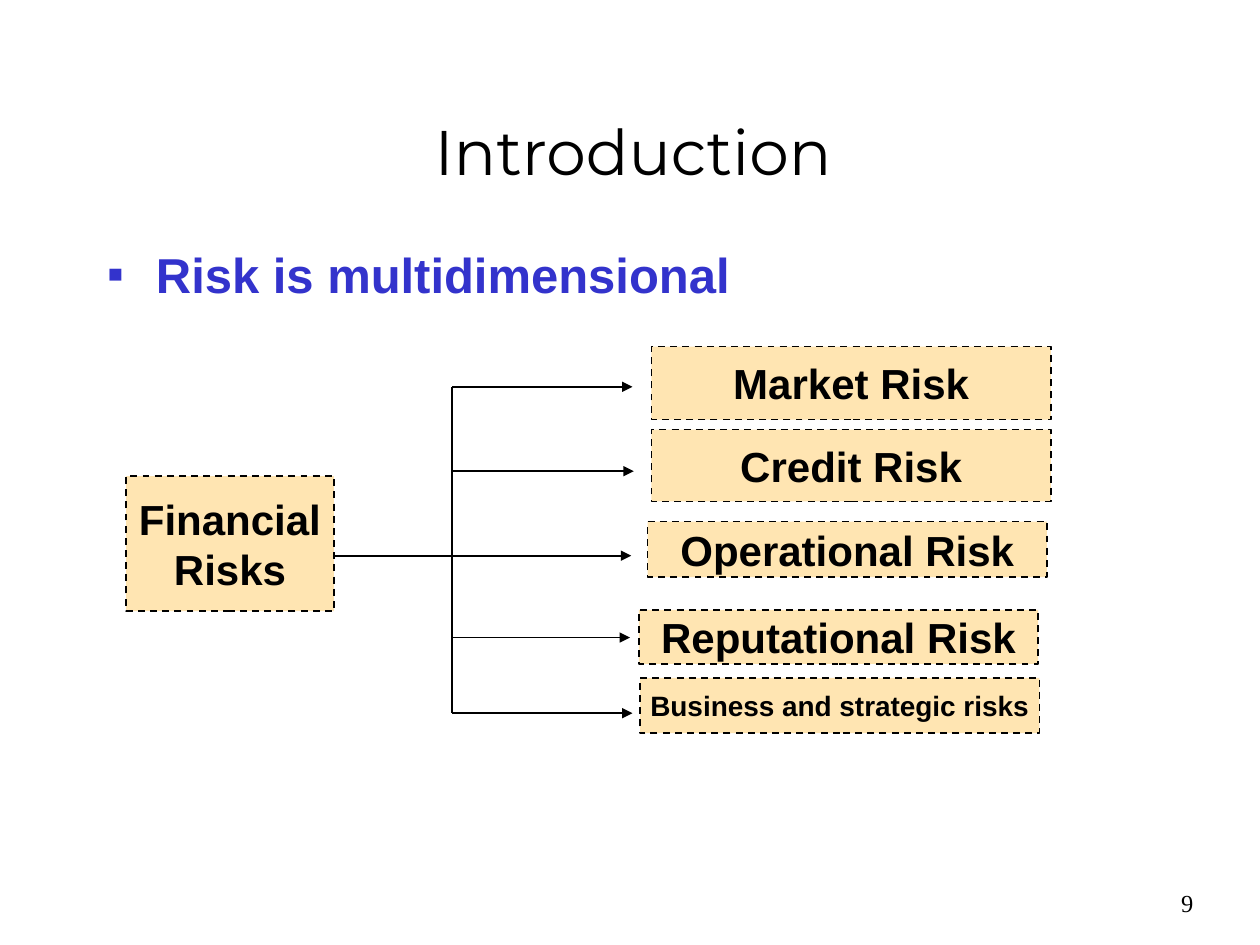
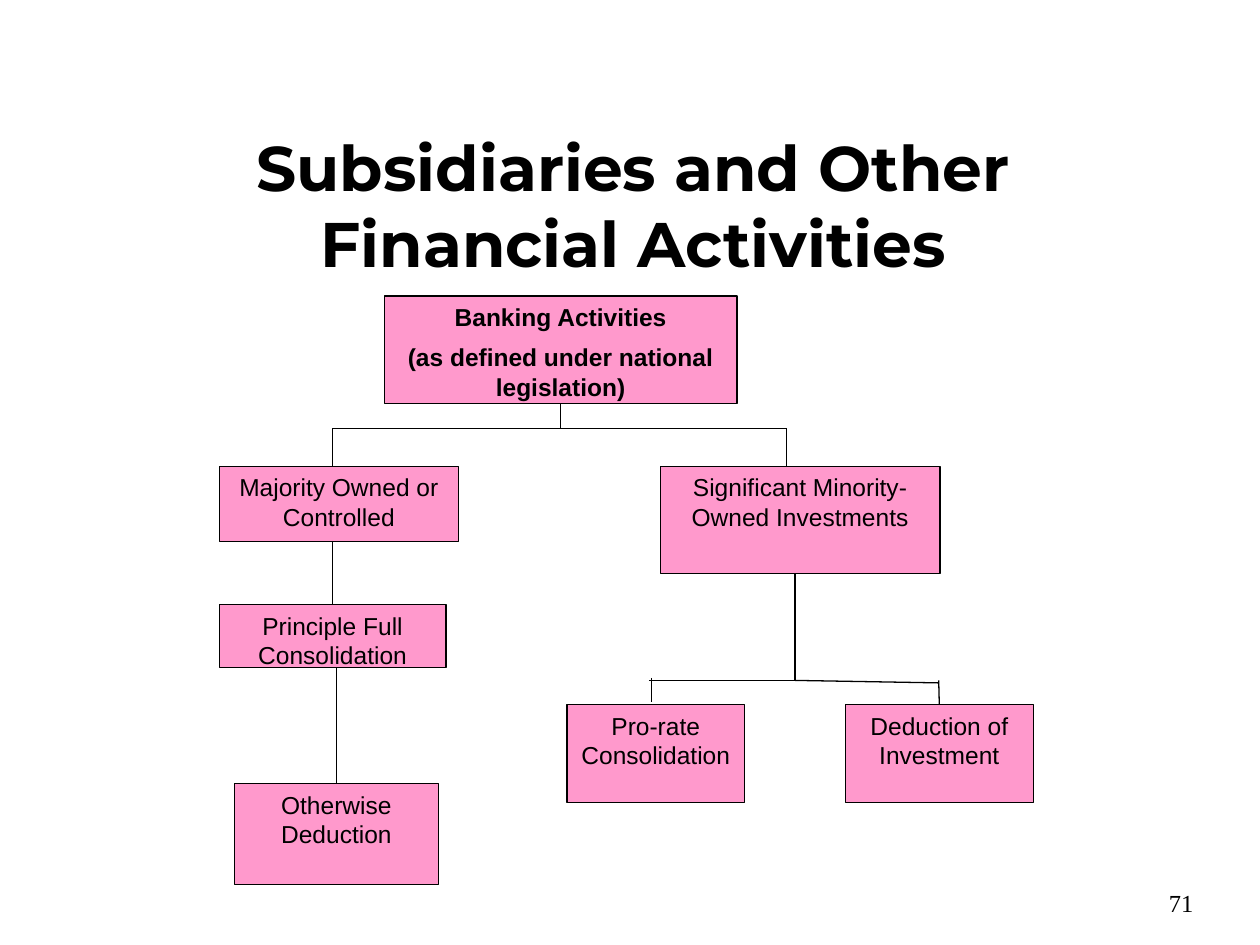
from lxml.etree import SubElement
from pptx import Presentation
from pptx.dml.color import RGBColor
from pptx.enum.dml import MSO_LINE
from pptx.enum.shapes import MSO_CONNECTOR, MSO_SHAPE
from pptx.enum.text import MSO_ANCHOR, PP_ALIGN
from pptx.oxml.ns import qn
from pptx.util import Inches, Pt

COLORS = {"ink": "000000", "accent": "3333CC", "risk": "FFCC66", "activity": "FF99CC"}
CELL = Inches(0.1)  # the slide is a grid of 100 columns by 75 rows
COLUMNS, ROWS = 100, 75
TOP, BOTTOM = 0, 2  # connection sites of a rectangle


def cells(*counts):
    return [round(count * CELL) for count in counts]


def color(name):
    return RGBColor.from_string(COLORS[name])


def add_child(parent, tag, **attributes):
    return SubElement(parent, qn(tag), attributes)


def write_text(shape, text, font="Arial", size=14, ink="ink", bold=False,
               align=PP_ALIGN.CENTER, anchor=MSO_ANCHOR.TOP, wrap=True,
               space_after=0, bullet=None):
    """Write one paragraph per line of text; a vertical tab breaks a line."""
    frame = shape.text_frame
    frame.word_wrap = wrap
    frame.vertical_anchor = anchor
    for index, line in enumerate(text.split("\n")):
        paragraph = frame.add_paragraph() if index else frame.paragraphs[0]
        paragraph.text = line
        paragraph.alignment = align
        paragraph.space_after = Pt(space_after)
        if bullet:
            add_bullet(paragraph, bullet, ink)
        paragraph.font.name = font
        paragraph.font.size = Pt(size)
        paragraph.font.bold = bold
        paragraph.font.color.rgb = color(ink)


def add_bullet(paragraph, character, ink):
    properties = paragraph._p.get_or_add_pPr()
    indent = Inches(0.38)
    properties.set("marL", str(indent))
    properties.set("indent", str(-indent))
    add_child(add_child(properties, "a:buClr"), "a:srgbClr", val=COLORS[ink])
    add_child(properties, "a:buSzPct", val="50000")
    add_child(properties, "a:buFont", typeface="Arial")
    add_child(properties, "a:buChar", char=character)


def add_text(slide, text, left, top, width, height, **text_format):
    box = slide.shapes.add_textbox(*cells(left, top, width, height))
    write_text(box, text, **text_format)


def add_box(slide, text, left, top, width, height, fill, line_width=0.75,
            dash=None, alpha=None, **text_format):
    box = slide.shapes.add_shape(MSO_SHAPE.RECTANGLE, *cells(left, top, width, height))
    box.shadow.inherit = False
    box.fill.solid()
    box.fill.fore_color.rgb = color(fill)
    if alpha:
        fill_color = box._element.spPr.find(qn("a:solidFill"))[0]
        add_child(fill_color, "a:alpha", val=str(alpha * 1000))
    box.line.color.rgb = color("ink")
    box.line.width = Pt(line_width)
    if dash:
        box.line.dash_style = dash
    write_text(box, text, **text_format)
    return box


def add_line(slide, start, end, width=0.75, arrow=False, begin=None, finish=None):
    """Draw a line; begin and finish are (shape, site) pairs to join it to."""
    line = slide.shapes.add_connector(MSO_CONNECTOR.STRAIGHT, *cells(*start, *end))
    if begin:
        line.begin_connect(*begin)
    if finish:
        line.end_connect(*finish)
    line.line.color.rgb = color("ink")
    line.line.width = Pt(width)
    if arrow:
        add_child(line.line._get_or_add_ln(), "a:tailEnd", type="triangle")
    add_child(line._element.spPr, "a:effectLst")


def add_slide(presentation, title, number, title_top, bold=False):
    slide = presentation.slides.add_slide(presentation.slide_layouts[6])
    add_text(slide, title, 4.4, title_top, 91.7, 10.8, font="Montserrat", size=36,
             bold=bold, anchor=MSO_ANCHOR.MIDDLE)
    add_text(slide, str(number), 74.9, 70, 20.8, 5, font="Times New Roman",
             align=PP_ALIGN.RIGHT)
    return slide


def add_risk_box(slide, text, left, top, width, height, size=24):
    add_box(slide, text, left, top, width, height, "risk", line_width=1,
            dash=MSO_LINE.DASH, alpha=50, size=size, bold=True, wrap=False,
            anchor=MSO_ANCHOR.MIDDLE)


def build_introduction(presentation):
    slide = add_slide(presentation, "Introduction", 9, 6.5)
    add_text(slide, "Risk is multidimensional", 7.6, 18.9, 65.4, 6.6, size=28,
             ink="accent", bold=True, align=PP_ALIGN.LEFT, bullet="■")
    add_risk_box(slide, "Financial\nRisks", 10, 37.8, 16.5, 10.7)

    # text, left, top, height, text size, arrow row, arrow end
    risks = [
        ("Market Risk", 51.7, 27.5, 5.8, 24, 30.7, 50.2),
        ("Credit Risk", 51.7, 34.1, 5.7, 24, 37.4, 50.3),
        ("Operational Risk", 51.4, 41.4, 4.4, 24, 44.1, 50.1),
        ("Reputational Risk", 50.7, 48.4, 4.3, 24, 50.6, 50),
        ("Business and strategic risks", 50.8, 53.8, 4.4, 16, 56.6, 50.2),
    ]
    trunk = 35.9
    add_line(slide, (26.6, 44.1), (trunk, 44.1), width=1)
    add_line(slide, (trunk, risks[0][5]), (trunk, risks[-1][5]), width=1)
    for text, left, top, height, size, row, arrow_end in risks:
        add_risk_box(slide, text, left, top, 31.7, height, size)
        add_line(slide, (trunk, row), (arrow_end, row), width=1, arrow=True)


def build_subsidiaries(presentation):
    slide = add_slide(presentation, "Subsidiaries and Other\vFinancial Activities",
                      71, 10.8, bold=True)

    def activity(text, left, top, width, height, **text_format):
        return add_box(slide, text, left, top, width, height, "activity", **text_format)

    banking = activity("Banking Activities\n(as defined under national legislation)",
                       30.5, 23.5, 28, 8.5, bold=True, space_after=6)
    activity("Majority Owned or Controlled", 17.4, 37, 19, 6)
    activity("Significant Minority-Owned Investments", 52.4, 37, 22.2, 8.5)
    activity("Pro-rate\nConsolidation", 45, 55.9, 14.1, 7.8)
    investment = activity("Deduction of Investment", 67.1, 55.9, 14.9, 7.8)
    consolidation = activity("Principle Full Consolidation", 17.4, 48, 18, 5)
    deduction = activity("Otherwise Deduction", 18.6, 62.2, 16.2, 8)

    upper, lower = 34, 54
    majority, minority = 26.4, 62.4
    add_line(slide, (44.5, 32), (44.5, upper), begin=(banking, BOTTOM))
    add_line(slide, (majority, upper), (minority, upper))
    for column in (majority, minority):
        add_line(slide, (column, upper), (column, 37))
    add_line(slide, (majority, 43), (majority, 48), finish=(consolidation, TOP))
    add_line(slide, (26.7, 53), (26.7, 62.2), finish=(deduction, TOP))
    add_line(slide, (63.1, 45.5), (63.1, lower))
    add_line(slide, (51.5, lower), (63.1, lower))
    add_line(slide, (63.1, lower), (74.5, lower + 0.2))
    add_line(slide, (51.7, 53.8), (51.7, 55.7))
    add_line(slide, (74.5, lower), (74.5, 55.9), finish=(investment, TOP))


def main():
    presentation = Presentation()
    presentation.slide_width, presentation.slide_height = cells(COLUMNS, ROWS)
    build_introduction(presentation)
    build_subsidiaries(presentation)
    presentation.save("out.pptx")


if __name__ == "__main__":
    main()
